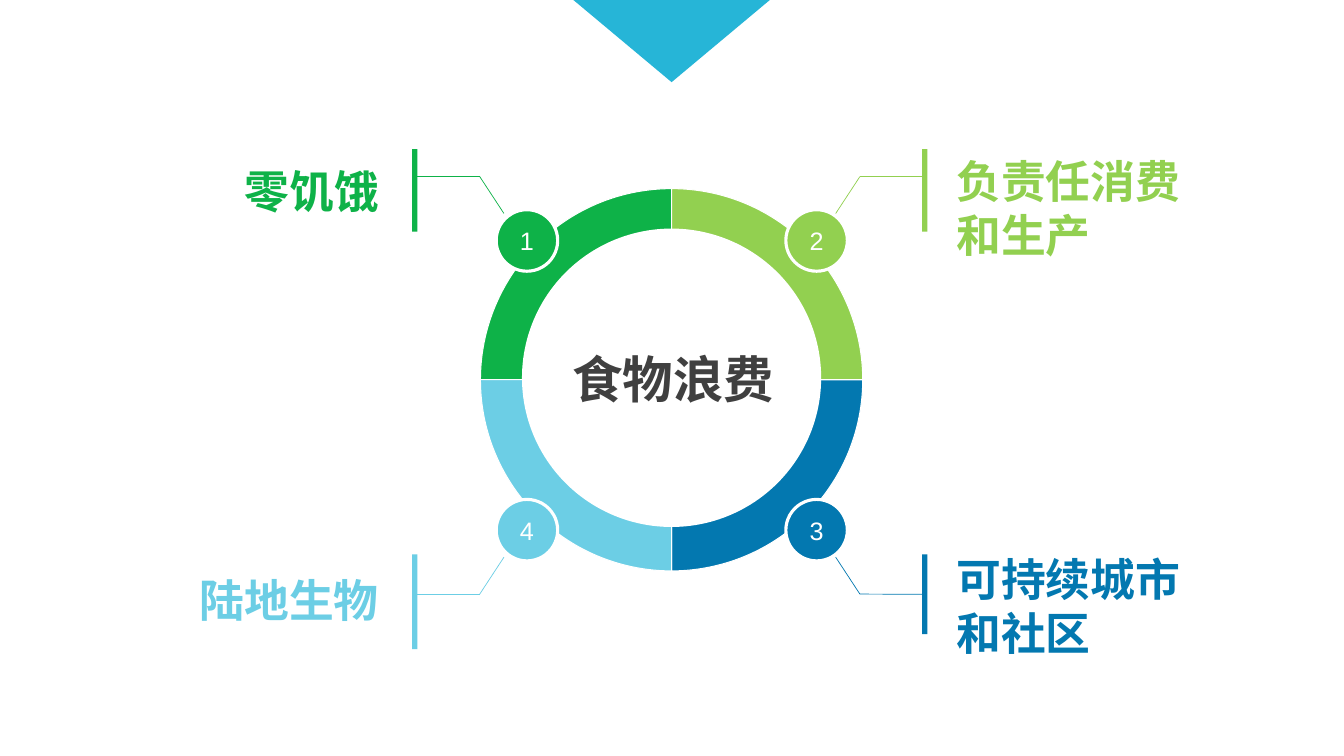
from collections import namedtuple

from lxml.etree import SubElement
from pptx import Presentation
from pptx.chart.data import CategoryChartData
from pptx.dml.color import RGBColor
from pptx.enum.chart import XL_CHART_TYPE as ChartType
from pptx.enum.shapes import MSO_CONNECTOR as Connector, MSO_SHAPE as Shape
from pptx.enum.text import MSO_ANCHOR as Anchor, MSO_AUTO_SIZE as AutoSize, PP_ALIGN as Align
from pptx.oxml import parse_xml
from pptx.oxml.ns import nsdecls, qn
from pptx.util import Cm, Pt

GREEN = RGBColor(0x0E, 0xB2, 0x48)
LIME = RGBColor(0x92, 0xD0, 0x50)
BLUE = RGBColor(0x03, 0x78, 0xB0)
SKY = RGBColor(0x6C, 0xCE, 0xE5)
CYAN = RGBColor(0x26, 0xB5, 0xD7)
GREY = RGBColor(0x40, 0x40, 0x40)
WHITE = RGBColor(0xFF, 0xFF, 0xFF)
BLACK = RGBColor(0, 0, 0)
FONT = "Arial"

Box = namedtuple("Box", "left top width height")
# side and level are -1 for left/top and 1 for right/bottom; label is a Box
Goal = namedtuple("Goal", "text color side level bar_height label")

GOALS = [
    Goal("零饥饿", GREEN, -1, -1, Cm(2.08), Box(Cm(5.92), Cm(3.99), Cm(3.94), Cm(1.63))),
    Goal("负责任消费\n和生产", LIME, 1, -1, Cm(2.08), Box(Cm(23.85), Cm(3.76), Cm(6.22), Cm(3))),
    Goal("可持续城市\n和社区", BLUE, 1, 1, Cm(2.01), Box(Cm(23.85), Cm(13.79), Cm(6.22), Cm(3))),
    Goal("陆地生物", SKY, -1, 1, Cm(2.39), Box(Cm(4.78), Cm(14.3), Cm(5.08), Cm(1.63))),
]


def style_font(font, size, color, bold=False):
    font.name, font.size, font.bold = FONT, Pt(size), bold
    font.color.rgb = color


def add_filled(slide, kind, box, color):
    shape = slide.shapes.add_shape(kind, *box)
    shape.shadow.inherit = False
    shape.fill.solid()
    shape.fill.fore_color.rgb = color
    shape.line.fill.background()
    return shape


def add_line(slide, start, end, color):
    line = slide.shapes.add_connector(Connector.STRAIGHT, *start, *end)
    line.line.color.rgb = color
    line.line.width = Pt(0.5)
    SubElement(line._element.spPr, qn("a:effectLst"))
    return line


def write_label(shape, text, size, color):
    """Fill a text shape with bold, unwrapped, left-aligned lines."""
    frame = shape.text_frame
    frame.text = text
    frame.word_wrap = False
    frame.auto_size = AutoSize.SHAPE_TO_FIT_TEXT
    frame.vertical_anchor = Anchor.TOP
    for para in frame.paragraphs:
        para.alignment = Align.LEFT
        for span in para.runs:
            style_font(span.font, size, color, bold=True)


def add_ring(slide, box):
    data = CategoryChartData()
    data.categories = ["1", "2", "3", "4"]
    data.add_series("Series 1", [25] * len(GOALS))
    chart = slide.shapes.add_chart(ChartType.DOUGHNUT, *box, data).chart
    chart.has_legend = chart.has_title = False
    style_font(chart.font, 10, BLACK)
    plot = chart.plots[0]
    plot.vary_by_categories = False
    for index, goal in enumerate(GOALS):
        form = plot.series[0].points[index].format
        form.fill.solid()
        form.fill.fore_color.rgb = goal.color
        form.line.color.rgb = WHITE
        form.line.width = Pt(0.75)

    root = chart._chartSpace
    root.xpath(".//c:firstSliceAng")[0].set("val", "270")
    root.xpath(".//c:holeSize")[0].set("val", "75")
    area = root.xpath(".//c:plotArea")[0]
    for layout in area.findall(qn("c:layout")):
        area.remove(layout)
    area.insert(0, parse_xml(
        f'<c:layout {nsdecls("c")}><c:manualLayout><c:layoutTarget val="inner"/>'
        '<c:xMode val="edge"/><c:yMode val="edge"/><c:x val="0.04"/><c:y val="0.04"/>'
        '<c:w val="0.92"/><c:h val="0.93"/></c:manualLayout></c:layout>'))

    hole_width, hole_height = Cm(7.54), Cm(7.52)
    hole = Box(box.left + (box.width - hole_width) // 2,
               box.top + (box.height - hole_height) // 2, hole_width, hole_height)
    add_filled(slide, Shape.OVAL, hole, WHITE)


def add_badge(slide, number, goal, center):
    size, offset = Cm(1.55), Cm(3.65)
    box = Box(center[0] + goal.side * offset - size // 2,
              center[1] + goal.level * offset - size // 2, size, size)
    badge = add_filled(slide, Shape.OVAL, box, goal.color)
    badge.line.color.rgb = WHITE
    badge.line.width = Pt(2.25)
    frame = badge.text_frame
    frame.text = str(number)
    frame.vertical_anchor = Anchor.MIDDLE
    para = frame.paragraphs[0]
    para.alignment = Align.CENTER
    style_font(para.runs[0].font, 18, WHITE)


def add_callout(slide, goal, center):
    """Draw the bent leader, the upright bar and the label of one goal."""
    def spot(across, down):
        return center[0] + goal.side * Cm(across), center[1] + goal.level * Cm(down)

    start, elbow, end = spot(4.18, 4.33), spot(4.79, 5.26), spot(6.36, 5.26)
    bar_width = Cm(0.13)
    bar_left = end[0] if goal.side > 0 else end[0] - bar_width
    bar_top = Cm(3.76) if goal.level < 0 else Cm(13.97)
    bar = add_filled(slide, Shape.RECTANGLE,
                     Box(bar_left, bar_top, bar_width, goal.bar_height), goal.color)
    add_line(slide, start, elbow, goal.color)
    leader = add_line(slide, elbow, end, goal.color)
    if abs(bar_top + goal.bar_height // 2 - end[1]) < Cm(0.05):
        leader.end_connect(bar, 1 if goal.side > 0 else 3)
    write_label(slide.shapes.add_textbox(*goal.label), goal.text, 32, goal.color)


def place_title(slide, box):
    title = slide.shapes.title
    title.left, title.top, title.width, title.height = box
    write_label(title, "食物浪费", 36, GREY)
    slide.shapes._spTree.append(title._element)  # bring in front of the ring


def main():
    deck = Presentation()
    deck.slide_width, deck.slide_height = Cm(33.87), Cm(19.05)
    slide = deck.slides.add_slide(deck.slide_layouts[5])

    pointer = add_filled(slide, Shape.ISOSCELES_TRIANGLE,
                         Box(Cm(14.45), 0, Cm(4.95), Cm(2.07)), CYAN)
    pointer.rotation = 180
    add_ring(slide, Box(Cm(11.68), Cm(4.34), Cm(10.49), Cm(10.36)))
    for number, goal in enumerate(GOALS, 1):
        add_badge(slide, number, goal, (Cm(16.93), Cm(9.71)))
        add_callout(slide, goal, (Cm(16.88), Cm(9.71)))
    place_title(slide, Box(Cm(14.17), Cm(8.64), Cm(5.64), Cm(1.8)))
    deck.save("out.pptx")


if __name__ == "__main__":
    main()
